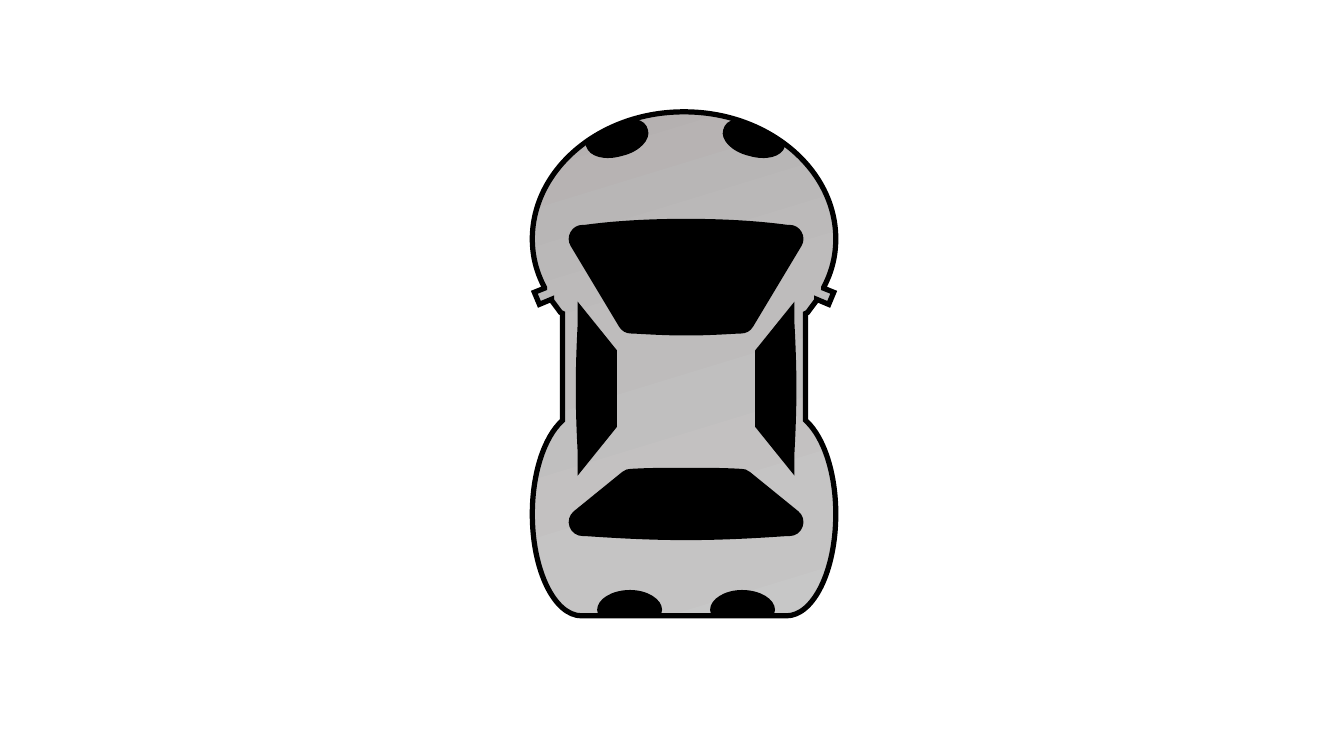
from dataclasses import dataclass
from math import cos, radians, sin

from lxml.etree import SubElement
from pptx import Presentation
from pptx.dml.color import RGBColor
from pptx.oxml.ns import qn
from pptx.util import Inches, Pt

Point = tuple[float, float]
# The start point, then segments: one point makes a line, three a cubic curve
Outline = list[list[Point]]

BLACK = "000000"
# Left edge plus right edge, for mirroring
BODY_SPAN = 13.57
CABIN_SPAN = 13.61
HEADLIGHT_SPAN = 13.6
# Gradient stops: position in percent, colour
SILVER = [(0, "AFABAB"), (42, "BEBCBC"), (71, "C5C4C4"), (100, "CCCCCC")]
SILVER_ANGLE = 50  # clockwise degrees, before the body is rotated


@dataclass
class CarPart:
    outlines: list[Outline]
    box: tuple[float, float, float, float]  # left, top, width, height
    line_width: float
    rotation: float = 0
    join: str = "miter"
    gradient: list[tuple[int, str]] | None = None


def rgb(color: str) -> RGBColor:
    return RGBColor.from_string(color)


def trace(*segments: tuple[float, ...]) -> Outline:
    return [list(zip(segment[::2], segment[1::2])) for segment in segments]


def mirror(outline: Outline, span: float) -> Outline:
    return [[(span - x, y) for x, y in segment] for segment in outline]


def symmetric(half: Outline, span: float) -> Outline:
    """The half outline, then its mirror image traced back to the start."""
    points = [point for segment in mirror(half, span) for point in segment][::-1]
    whole = list(half)
    if abs(points[0][0] - half[-1][-1][0]) > 0.02:
        whole.append([points[0]])
    position = 1
    for segment in reversed(half[1:]):
        whole.append(points[position:position + len(segment)])
        position += len(segment)
    return whole


def set_gradient(fill, stops: list[tuple[int, str]], angle: float) -> None:
    fill.gradient()
    fill.gradient_angle = 360 - angle
    stop_list = fill._fill._gradFill.find(qn("a:gsLst"))
    for stop in list(stop_list):
        stop_list.remove(stop)
    for position, color in stops:
        stop = SubElement(stop_list, qn("a:gs"), pos=str(position * 1000))
        SubElement(stop, qn("a:srgbClr"), val=color)


def write_curves(shape, part: CarPart) -> None:
    """Place the shape in its box and give it lines and true curves."""
    left, top, width, height = part.box
    shape.left, shape.top = Inches(left), Inches(top)
    shape.width, shape.height = Inches(width), Inches(height)
    shape.rotation = part.rotation
    turn = radians(-part.rotation)

    geometry = next(shape._element.iter(qn("a:path")))
    for child in list(geometry):
        geometry.remove(child)
    geometry.set("w", str(Inches(width)))
    geometry.set("h", str(Inches(height)))
    for outline in part.outlines:
        for index, segment in enumerate(outline):
            tag = "moveTo" if index == 0 else "lnTo"
            if len(segment) == 3:
                tag = "cubicBezTo"
            command = SubElement(geometry, qn(f"a:{tag}"))
            for x, y in segment:
                dx, dy = x - left - width / 2, y - top - height / 2
                local_x = width / 2 + dx * cos(turn) - dy * sin(turn)
                local_y = height / 2 + dx * sin(turn) + dy * cos(turn)
                SubElement(command, qn("a:pt"),
                           x=str(Inches(local_x)), y=str(Inches(local_y)))
        SubElement(geometry, qn("a:close"))


def draw_part(shapes, part: CarPart):
    ends = [(Inches(x), Inches(y)) for x, y in
            (segment[-1] for segment in part.outlines[0])]
    builder = shapes.build_freeform(*ends[0], scale=1.0)
    builder.add_line_segments(ends[1:], close=True)
    shape = builder.convert_to_shape()
    write_curves(shape, part)
    shape.shadow.inherit = False
    if part.gradient:
        set_gradient(shape.fill, part.gradient, SILVER_ANGLE)
    else:
        shape.fill.solid()
        shape.fill.fore_color.rgb = rgb(BLACK)
    shape.line.color.rgb = rgb(BLACK)
    shape.line.width = Pt(part.line_width)
    join = SubElement(shape.line._get_or_add_ln(), qn(f"a:{part.join}"))
    if part.join == "miter":
        join.set("lim", "800000")
    return shape


def draw_car(shapes) -> None:
    """The car from above, nose up, from back to front."""
    right_body = trace(
        (6.79, 1.11),
        (7.62, 1.11, 8.29, 1.68, 8.29, 2.37),
        (8.29, 2.54, 8.25, 2.7, 8.17, 2.85),
        (8.17, 2.86), (8.27, 2.9), (8.22, 3.02), (8.1, 2.97), (8.1, 2.98),
        (8.07, 3.02, 8.04, 3.06, 8.01, 3.1),
        (7.99, 3.11), (7.99, 4.17), (8, 4.18),
        (8.17, 4.34, 8.29, 4.69, 8.29, 5.1),
        (8.29, 5.66, 8.07, 6.11, 7.8, 6.11),
    )
    right_windscreen = trace(
        (6.81, 2.31), (7.17, 2.31, 7.51, 2.33, 7.8, 2.37),
        (7.83, 2.37), (7.35, 3.17), (7.33, 3.17),
        (7.16, 3.18, 6.99, 3.19, 6.81, 3.19),
    )
    right_rear_window = trace(
        (6.81, 5.22), (7.17, 5.22, 7.51, 5.2, 7.8, 5.18),
        (7.83, 5.18), (7.35, 4.79), (7.33, 4.79),
        (7.16, 4.78, 6.99, 4.78, 6.81, 4.78),
    )
    right_side_window = trace(
        (7.83, 3.85), (7.83, 3.62, 7.82, 3.39, 7.81, 3.2),
        (7.81, 3.19), (7.56, 3.5), (7.56, 3.51),
        (7.56, 3.62, 7.56, 3.73, 7.56, 3.85),
        (7.56, 3.97, 7.56, 4.09, 7.56, 4.2),
        (7.56, 4.21), (7.81, 4.52), (7.81, 4.5),
        (7.82, 4.31, 7.83, 4.09, 7.83, 3.85),
    )
    right_headlight = trace(
        (7.31, 1.18), (7.32, 1.19), (7.48, 1.24, 7.63, 1.31, 7.76, 1.4),
        (7.78, 1.41), (7.78, 1.42),
        (7.78, 1.43, 7.78, 1.44, 7.78, 1.45),
        (7.75, 1.55, 7.6, 1.59, 7.43, 1.54),
        (7.26, 1.5, 7.15, 1.38, 7.18, 1.29),
        (7.19, 1.24, 7.23, 1.2, 7.3, 1.19), (7.31, 1.18),
    )
    right_tail_light = trace(
        (7.36, 5.86), (7.54, 5.86, 7.68, 5.95, 7.68, 6.05),
        (7.68, 6.07, 7.67, 6.09, 7.66, 6.11), (7.65, 6.11), (7.07, 6.11),
        (7.06, 6.09, 7.05, 6.07, 7.05, 6.05),
        (7.05, 5.95, 7.19, 5.86, 7.36, 5.86),
    )

    draw_part(shapes, CarPart([symmetric(right_body, BODY_SPAN)],
                              (4.77, 1.19, 4.06, 5.16), 3.75, 23, gradient=SILVER))
    for half, box in ((right_windscreen, (5.78, 2.31, 2.04, 0.88)),
                      (right_rear_window, (5.78, 4.78, 2.04, 0.43))):
        draw_part(shapes, CarPart([symmetric(half, CABIN_SPAN)], box, 20, join="round"))
    side_windows = [
        draw_part(shapes, CarPart([side], (left, 3.72, 1.34, 0.27), 10, 270))
        for side, left in ((right_side_window, 7.02),
                           (mirror(right_side_window, CABIN_SPAN), 5.25))
    ]
    shapes.add_group_shape(side_windows)
    for light, span, box, rotation in (
        (right_headlight, HEADLIGHT_SPAN, (5.86, 1.06, 1.9, 0.71), 15),
        (right_tail_light, CABIN_SPAN, (5.93, 5.86, 1.74, 0.25), 0),
    ):
        draw_part(shapes, CarPart([mirror(light, span), light], box, 1, rotation))


def main() -> None:
    presentation = Presentation()
    presentation.slide_width = Inches(13.33)
    presentation.slide_height = Inches(7.5)
    slide = presentation.slides.add_slide(presentation.slide_layouts[6])
    draw_car(slide.shapes)
    presentation.save("out.pptx")


if __name__ == "__main__":
    main()
